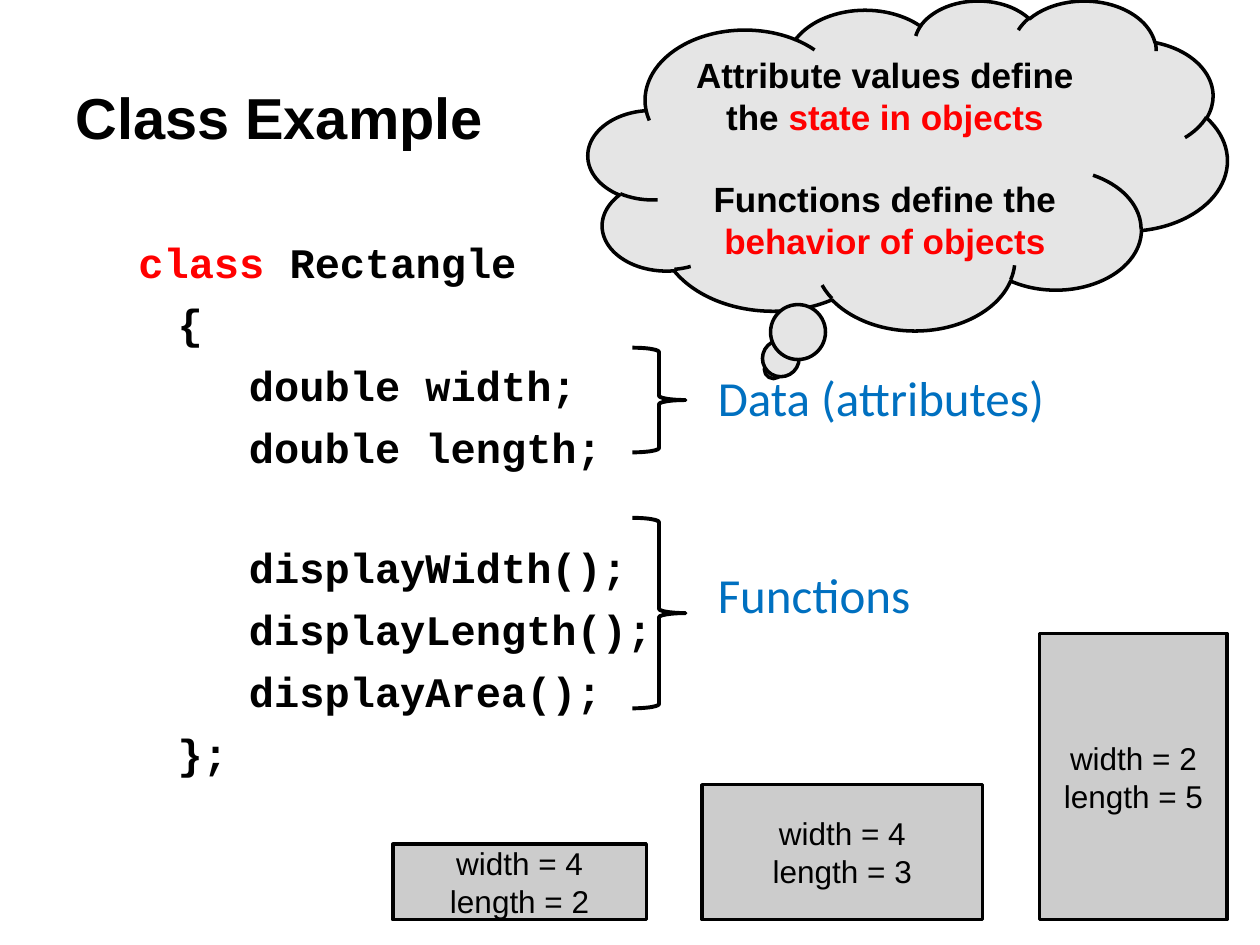
from pptx import Presentation
from pptx.dml.color import RGBColor
from pptx.enum.shapes import MSO_SHAPE
from pptx.enum.text import MSO_ANCHOR, PP_ALIGN
from pptx.util import Cm, Pt

RECT, BRACE, CLOUD = MSO_SHAPE.RECTANGLE, MSO_SHAPE.RIGHT_BRACE, MSO_SHAPE.CLOUD_CALLOUT
TOP, MIDDLE = MSO_ANCHOR.TOP, MSO_ANCHOR.MIDDLE
LEFT, CENTER, JUSTIFY = PP_ALIGN.LEFT, PP_ALIGN.CENTER, PP_ALIGN.JUSTIFY

THEME = {
    "ink": "000000", "key": "FF0000", "note": "0070C0",
    "cloud": "E5E5E5", "box": "CCCCCC",
    # name: font, size, bold
    "title": ("Arial", 33, True), "code": ("Courier New", 24, True),
    "label": ("Calibri", 28, False), "thought": ("Arial", 20, True),
    "size": ("Arial", 18, False),
}

# Content: a line is a list of (text, colour) runs
TITLE = [("Class Example", "ink")]
# indent in cm, space before in points, runs
CODE = [
    (1.27, 0, [("class", "key"), (" Rectangle", "ink")]),
    (2.06, 6.5, [("{", "ink")]),
    (3.5, 6.5, [("double width;", "ink")]),
    (3.5, 6.5, [("double length;", "ink")]),
    (3.5, 40, [("displayWidth();", "ink")]),
    (3.5, 6.5, [("displayLength();", "ink")]),
    (3.5, 6.5, [("displayArea();", "ink")]),
    (2.06, 6.5, [("};", "ink")]),
]
LABELS = [(0, "Data (attributes)"), (82.5, "Functions")]
THOUGHT = [
    (0, [("Attribute values define the ", "ink"), ("state in objects", "key")]),
    (23, [("Functions define the ", "ink"), ("behavior of objects", "key")]),
]
BRACES = [(7.01, 2.11), (10.44, 3.84)]  # top, height
# left, width, height, then the width and length shown
BOXES = [(7.92, 5.11, 1.52, 4, 2), (14.15, 5.66, 2.72, 4, 3), (20.96, 3.78, 5.77, 2, 5)]
FLOOR = 18.54


def tint(name):
    return RGBColor.from_string(THEME[name])


def set_up(frame, anchor):
    frame.word_wrap = True
    frame.vertical_anchor = anchor


def add_line(frame, first, runs, style, align=LEFT, gap=0):
    para = frame.paragraphs[0] if first else frame.add_paragraph()
    para.alignment = align
    if gap:
        para.space_before = Pt(gap)
    face, size, bold = THEME[style]
    font = para.font
    font.name, font.size, font.bold = face, Pt(size), bold
    for text, shade in runs:
        run = para.add_run()
        run.text = text
        run.font.color.rgb = tint(shade)
    return para


def add_text(slide, place, anchor=TOP):
    frame = slide.shapes.add_textbox(*map(Cm, place)).text_frame
    set_up(frame, anchor)
    return frame


def add_form(slide, kind, place, fill=None, weight=2):
    form = slide.shapes.add_shape(kind, *map(Cm, place))
    form.shadow.inherit = False
    if fill:
        form.fill.solid()
        form.fill.fore_color.rgb = tint(fill)
    else:
        form.fill.background()
    form.line.color.rgb = tint("ink")
    form.line.width = Pt(weight)
    set_up(form.text_frame, MIDDLE)
    return form


def main():
    deck = Presentation()
    deck.slide_width, deck.slide_height = Cm(25.4), Cm(19.05)
    slide = deck.slides.add_slide(deck.slide_layouts[6])

    # Title
    add_line(add_text(slide, (1.27, 0.76, 22.86, 3.18), MIDDLE), True, TITLE, "title")

    # Class code
    frame = add_text(slide, (1.27, 4.45, 22.86, 12.57))
    frame.margin_top = Cm(0.31)
    for i, (indent, gap, runs) in enumerate(CODE):
        para = add_line(frame, i == 0, runs, "code", gap=gap)
        para._p.get_or_add_pPr().set("marL", str(Cm(indent)))

    # Braces and their labels
    for top, height in BRACES:
        brace = add_form(slide, BRACE, (12.75, top, 1.07, height), weight=2.25)
        brace.adjustments[0] = 0.08
    frame = add_text(slide, (14.22, 7.42, 7.19, 5.38))
    for i, (gap, text) in enumerate(LABELS):
        para = add_line(frame, i == 0, [(text, "note")], "label", JUSTIFY, gap)
        para.line_spacing = 0.9

    # Thought cloud
    cloud = add_form(slide, CLOUD, (11.86, 0, 12.88, 6.65), "cloud")
    cloud.adjustments[0], cloud.adjustments[1] = -0.21, 0.62
    for i, (gap, runs) in enumerate(THOUGHT):
        add_line(cloud.text_frame, i == 0, runs, "thought", CENTER, gap)

    # Rectangle objects, standing on one floor
    for left, width, height, wide, long in BOXES:
        box = add_form(slide, RECT, (left, FLOOR - height, width, height), "box")
        for i, text in enumerate((f"width = {wide}", f"length = {long}")):
            add_line(box.text_frame, i == 0, [(text, "ink")], "size", CENTER)

    deck.save("out.pptx")


if __name__ == "__main__":
    main()
